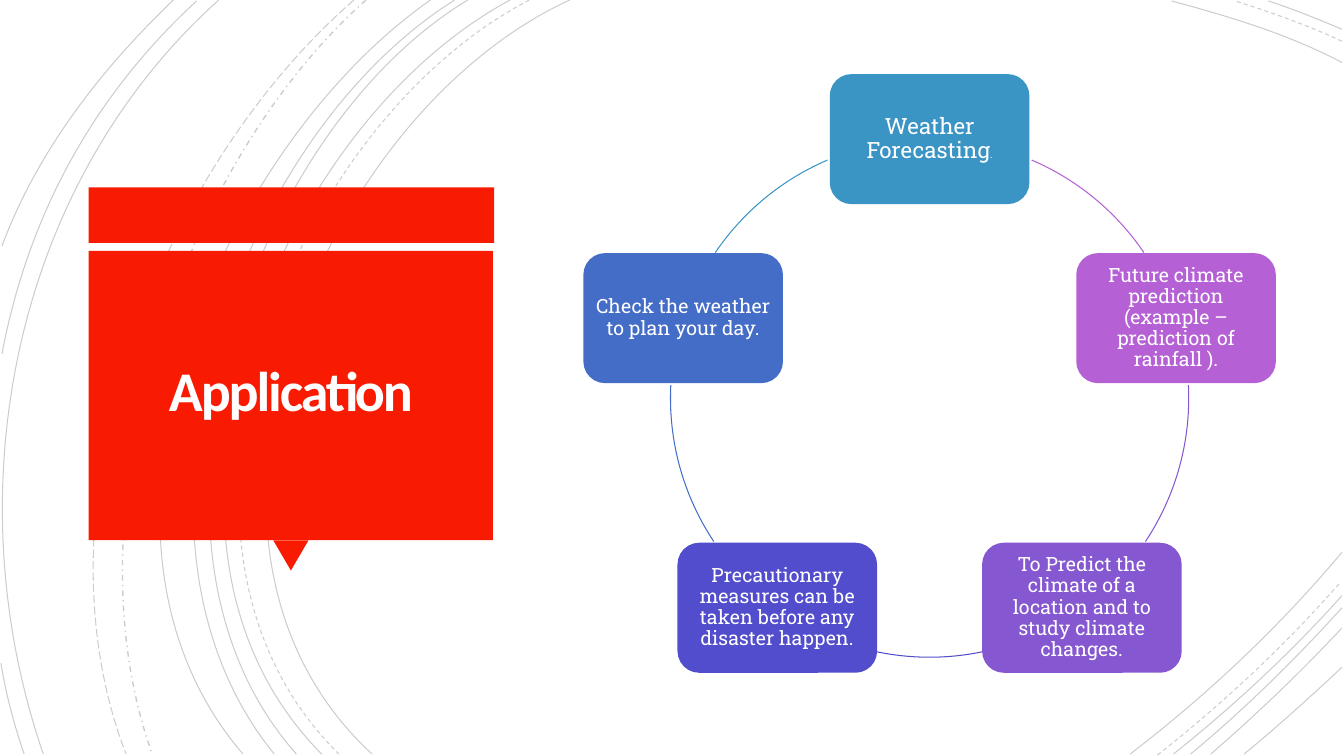
import math

import pptx
import pptx.dml.color
import pptx.enum.dml
import pptx.enum.shapes
import pptx.enum.text
import pptx.oxml.ns
import pptx.util
from lxml import etree

COLUMNS, ROWS = 13.33, 7.5
CELL = pptx.util.Inches(1)  # one square cell of the slide grid
COLORS = {
    "panel": "F81B02", "title": "FFFEFF", "text": "FFFFFF", "swirl": "000000",
    "blue": "3B95C4", "orchid": "B560D4", "purple": "8557D0",
    "indigo": "524DCC", "royal": "446DC8",
}
SHAPE = pptx.enum.shapes.MSO_SHAPE
DASH = pptx.enum.dml.MSO_LINE
qn = pptx.oxml.ns.qn


def rgb(name):
    return pptx.dml.color.RGBColor.from_string(COLORS[name])


def cells(*lengths):
    """Turn grid columns and rows into slide lengths."""
    return [round(length * CELL) for length in lengths]


deck = pptx.Presentation()
deck.slide_width, deck.slide_height = cells(COLUMNS, ROWS)
page = deck.slides.add_slide(deck.slide_layouts[5])

# Background swirls: start, two control points, end
SWIRLS = {
    DASH.SOLID: [
        [(5.65, 0), (3.15, 1.15), (1.43, 5.4), (3.69, 7.48)],
        [(5.06, 0), (2.7, 1.27), (1.1, 5.37), (3.19, 7.48)],
        [(4.64, 0), (2.44, 1.33), (1.1, 5.41), (2.94, 7.48)],
        [(4.51, 0), (2.31, 1.38), (0.97, 5.33), (2.72, 7.48)],
        [(4.27, 0), (2.17, 1.47), (0.53, 5.29), (2.41, 7.48)],
        [(2.17, 0), (0.11, 1.85), (-0.46, 4.9), (0.43, 7.48)],
        [(1.95, 0.01), (0.92, 0.96), (0.28, 2.14), (0.02, 3.51)],
        [(1.72, 0), (1, 0.69), (0.37, 1.5), (0.02, 2.44)],
        [(0.01, 6.58), (0.06, 6.89), (0.14, 7.19), (0.24, 7.48)],
        [(13.31, 0.62), (12.78, 0.34), (12.18, 0.16), (11.62, 0.01)],
        [(13.31, 0.29), (13.07, 0.19), (12.83, 0.09), (12.58, 0.01)],
        [(11.21, 7.48), (11.97, 6.9), (12.69, 6.22), (13.31, 5.48)],
        [(11.64, 7.48), (12.23, 7.01), (12.8, 6.48), (13.31, 5.91)],
        [(11.81, 7.48), (12.34, 7.04), (12.84, 6.55), (13.31, 6.03)],
        [(12.01, 7.48), (12.46, 7.09), (12.9, 6.67), (13.31, 6.23)],
        [(12.34, 7.48), (12.67, 7.21), (12.99, 6.92), (13.31, 6.62)],
    ],
    DASH.DASH: [
        [(5.25, 0), (2.85, 1.25), (1.23, 5.37), (3.36, 7.48)],
        [(13.31, 0.41), (12.97, 0.25), (12.6, 0.12), (12.25, 0.01)],
        [(11.48, 7.49), (12.13, 6.98), (12.75, 6.4), (13.3, 5.77)],
    ],
    DASH.DASH_DOT: [[(3.63, 0), (1.76, 1.66), (0.65, 5.09), (1.51, 7.48)]],
    DASH.LONG_DASH: [[(3.51, 0), (1.57, 1.69), (0.29, 4.99), (1.25, 7.48)]],
}
curves = [(controls, "swirl", dash)
          for dash, swirls in SWIRLS.items() for controls in swirls]

# Cycle: nodes clockwise from the top, each with the arc that leads to it
CENTER_X, CENTER_Y, RADIUS = 9.22, 3.95, 2.57
NODE_WIDTH, NODE_HEIGHT = 1.98, 1.29
NODES = [
    ("blue", (214.2, 246.8), [("Weather Forecasting", 16), (".", 7)]),
    ("orchid", (-66.8, -34.2),
     [("Future climate prediction (example – prediction of rainfall ).", 14)]),
    ("purple", (-2.9, 33.6),
     [("To Predict the climate of a location and to study climate changes.", 14)]),
    ("indigo", (78.3, 101.7),
     [("Precautionary measures can be taken before any disaster happen.", 14)]),
    ("royal", (146.4, 182.9), [("Check the weather to plan your day.", 14)]),
]
for color, sweep, _ in NODES:
    start, end = map(math.radians, sweep)
    reach = 4 / 3 * math.tan((end - start) / 4)  # control distance in radii
    controls = [
        (CENTER_X + RADIUS * (math.cos(angle) - pull * math.sin(angle)),
         CENTER_Y + RADIUS * (math.sin(angle) + pull * math.cos(angle)))
        for angle, pull in [(start, 0), (start, reach), (end, -reach), (end, 0)]
    ]
    curves.append((controls, color, DASH.SOLID))

for controls, color, dash in curves:
    corners = [cells(*point) for point in controls]
    builder = page.shapes.build_freeform(*corners[0])
    builder.add_line_segments(corners[1:], close=False)
    curve = builder.convert_to_shape()
    # Bend the three straight segments into one cubic curve
    route = curve.element.find(".//" + qn("a:path"))
    segments = route.findall(qn("a:lnTo"))
    bend = etree.SubElement(route, qn("a:cubicBezTo"))
    for segment in segments:
        bend.append(segment[0])
        route.remove(segment)
    curve.shadow.inherit = False
    curve.fill.background()
    curve.line.color.rgb = rgb(color)
    curve.line.width = pptx.util.Pt(1 if dash == DASH.DASH_DOT else 0.75)
    curve.line.dash_style = dash
    if color == "swirl":
        ink = curve.element.find(".//" + qn("a:ln")).find(".//" + qn("a:srgbClr"))
        etree.SubElement(ink, qn("a:alpha"), val="20000")

# Filled shapes: the title panel, then the cycle nodes
blocks = [
    (SHAPE.RECTANGLE, "panel", (0.88, 1.86, 4.02, 0.55), 0, []),
    (SHAPE.ISOSCELES_TRIANGLE, "panel", (2.71, 5.36, 0.35, 0.3), 180, []),
    (SHAPE.RECTANGLE, "panel", (0.88, 2.49, 4.01, 2.87), 0, []),
]
for index, (color, _, words) in enumerate(NODES):
    angle = math.radians(index * 360 / len(NODES) - 90)
    left = CENTER_X + RADIUS * math.cos(angle) - NODE_WIDTH / 2
    top = CENTER_Y + RADIUS * math.sin(angle) - NODE_HEIGHT / 2
    blocks.append((SHAPE.ROUNDED_RECTANGLE, color,
                   (left, top, NODE_WIDTH, NODE_HEIGHT), 0, words))

for kind, color, place, turn, words in blocks:
    block = page.shapes.add_shape(kind, *cells(*place))
    block.rotation = turn
    block.shadow.inherit = False
    block.fill.solid()
    block.fill.fore_color.rgb = rgb(color)
    block.line.fill.background()
    if not words:
        continue
    frame = block.text_frame
    frame.word_wrap = True
    frame.vertical_anchor = pptx.enum.text.MSO_ANCHOR.MIDDLE
    frame.margin_left, frame.margin_top = cells(0.06, 0.06)
    frame.margin_right, frame.margin_bottom = cells(0.06, 0.06)
    para = frame.paragraphs[0]
    para.alignment = pptx.enum.text.PP_ALIGN.CENTER
    para.line_spacing = 0.9
    for text, size in words:
        span = para.add_run()
        span.text = text
        span.font.name = "Roboto Slab"
        span.font.size = pptx.util.Pt(size)
        span.font.color.rgb = rgb("text")

# Title, brought in front of its panel
title = page.shapes.title
title.left, title.top, title.width, title.height = cells(0.97, 2.57, 3.83, 2.69)
title.element.getparent().append(title.element)
frame = title.text_frame
frame.word_wrap = True
frame.auto_size = pptx.enum.text.MSO_AUTO_SIZE.NONE
frame.vertical_anchor = pptx.enum.text.MSO_ANCHOR.MIDDLE
frame.margin_left, frame.margin_top = cells(0.25, 0.25)
frame.margin_right, frame.margin_bottom = cells(0.25, 0.25)
para = frame.paragraphs[0]
para.alignment = pptx.enum.text.PP_ALIGN.CENTER
para.line_spacing = 0.85
span = para.add_run()
span.text = "Application"
span.font.name = "Calibri"
span.font.size = pptx.util.Pt(40)
span.font.bold = True
span.font.color.rgb = rgb("title")
span.font._element.set("spc", "-150")

deck.save("out.pptx")
